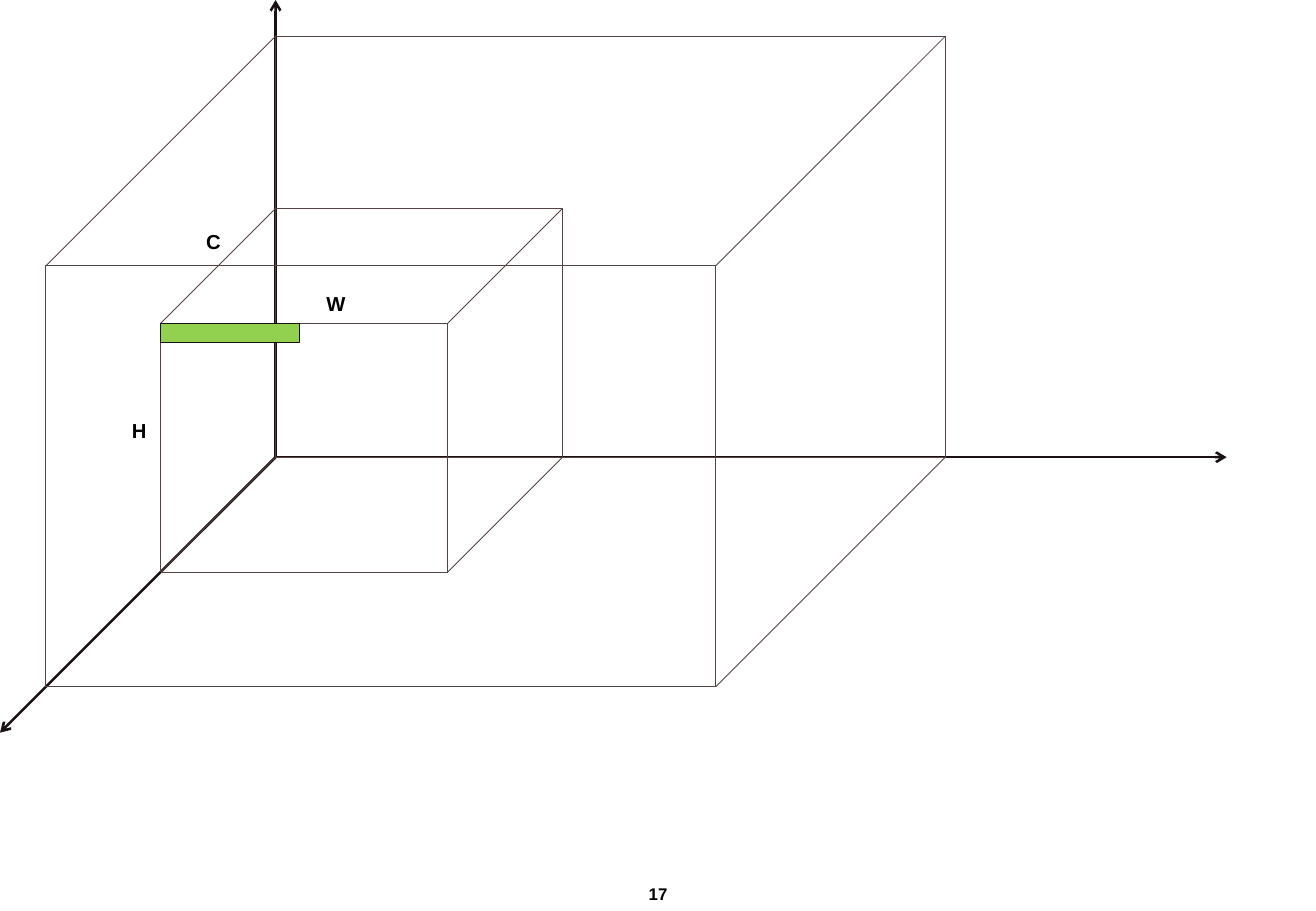
"""Builds a slide with two nested cuboids drawn on three axes."""
from itertools import combinations, product

from lxml.etree import SubElement
from pptx import Presentation
from pptx.dml.color import RGBColor
from pptx.enum.shapes import MSO_CONNECTOR, MSO_SHAPE
from pptx.enum.text import PP_ALIGN
from pptx.oxml.ns import qn
from pptx.util import Cm, Inches, Pt

BLACK = RGBColor(0x00, 0x00, 0x00)
AXIS = RGBColor(0x1B, 0x11, 0x12)
EDGE = RGBColor(0x56, 0x42, 0x42)
GREEN = RGBColor(0x92, 0xD0, 0x50)

CELL = Cm(0.4)
ORIGIN = (14.4, 23.9)

AXIS_ENDS = [(49.7, 0), (0, -23.9), (-14.4, 14.4)]
OUTER = (35, 22, 12)
INNER = (15, 13, 6)
BAR_SIZE = (7.25, 1)
LABELS = [("C", -4.25, -12.2), ("H", -8.13, -2.35), ("W", 2.03, -9)]
LABEL_SIZE = (1.9, 1.9)
PAGE_NUMBER = ("17", 11.94, 21.97)
PAGE_NUMBER_SIZE = (16.1, 1.46)


def place(x, y):
    """Turn cells counted from the origin into slide lengths."""
    return int((ORIGIN[0] + x) * CELL), int((ORIGIN[1] + y) * CELL)


def scale(size):
    """Turn a size in cells into slide lengths."""
    return [int(length * CELL) for length in size]


def corner(size, right, up, front):
    """Give the cell position of one corner of a cuboid."""
    width, height, depth = size
    return right * width - front * depth, front * depth - up * height


def add_line(page, start, end, color, weight, arrow=False):
    """Draw a straight line between two cell positions."""
    line = page.shapes.add_connector(MSO_CONNECTOR.STRAIGHT, *place(*start), *place(*end))
    line.line.color.rgb = color
    line.line.width = Pt(weight)
    if arrow:
        SubElement(line.line._get_or_add_ln(), qn("a:tailEnd"), type="arrow")
    SubElement(line._element.spPr, qn("a:effectLst"))


def add_rectangle(page, position, size, color, fill=None):
    """Draw a thin-lined rectangle, filled when a fill is given."""
    box = page.shapes.add_shape(MSO_SHAPE.RECTANGLE, *place(*position), *scale(size))
    box.shadow.inherit = False
    box.line.color.rgb = color
    box.line.width = Pt(0.5)
    if fill is None:
        box.fill.background()
    else:
        box.fill.solid()
        box.fill.fore_color.rgb = fill


def add_text(page, text, position, size, points, align):
    """Write one bold line of text."""
    box = page.shapes.add_textbox(*place(*position), *scale(size))
    box.text_frame.word_wrap = True
    para = box.text_frame.paragraphs[0]
    para.text = text
    para.alignment = align
    para.font.name = "Arial"
    para.font.size = Pt(points)
    para.font.bold = True
    para.font.color.rgb = BLACK


def main():
    """Build and save the deck."""
    deck = Presentation()
    deck.slide_width, deck.slide_height = Inches(10.83), Inches(7.5)
    page = deck.slides.add_slide(deck.slide_layouts[6])

    number, x, y = PAGE_NUMBER
    add_text(page, number, (x, y), PAGE_NUMBER_SIZE, 10, PP_ALIGN.CENTER)
    for end in AXIS_ENDS:
        add_line(page, (0, 0), end, AXIS, 1.5, arrow=True)

    for front in (0, 1):
        add_rectangle(page, corner(OUTER, 0, 1, front), OUTER[:2], EDGE)
    for right, up in [(0, 1), (1, 1), (1, 0)]:
        add_line(page, corner(OUTER, right, up, 0), corner(OUTER, right, up, 1), EDGE, 0.5)

    for text, x, y in LABELS:
        add_text(page, text, (x, y), LABEL_SIZE, 12, PP_ALIGN.LEFT)

    for first, second in combinations(product((0, 1), repeat=3), 2):
        if sum(a != b for a, b in zip(first, second)) == 1:
            add_line(page, corner(INNER, *first), corner(INNER, *second), EDGE, 0.5)
    add_rectangle(page, corner(INNER, 0, 1, 1), BAR_SIZE, AXIS, GREEN)

    deck.save("out.pptx")


if __name__ == "__main__":
    main()
